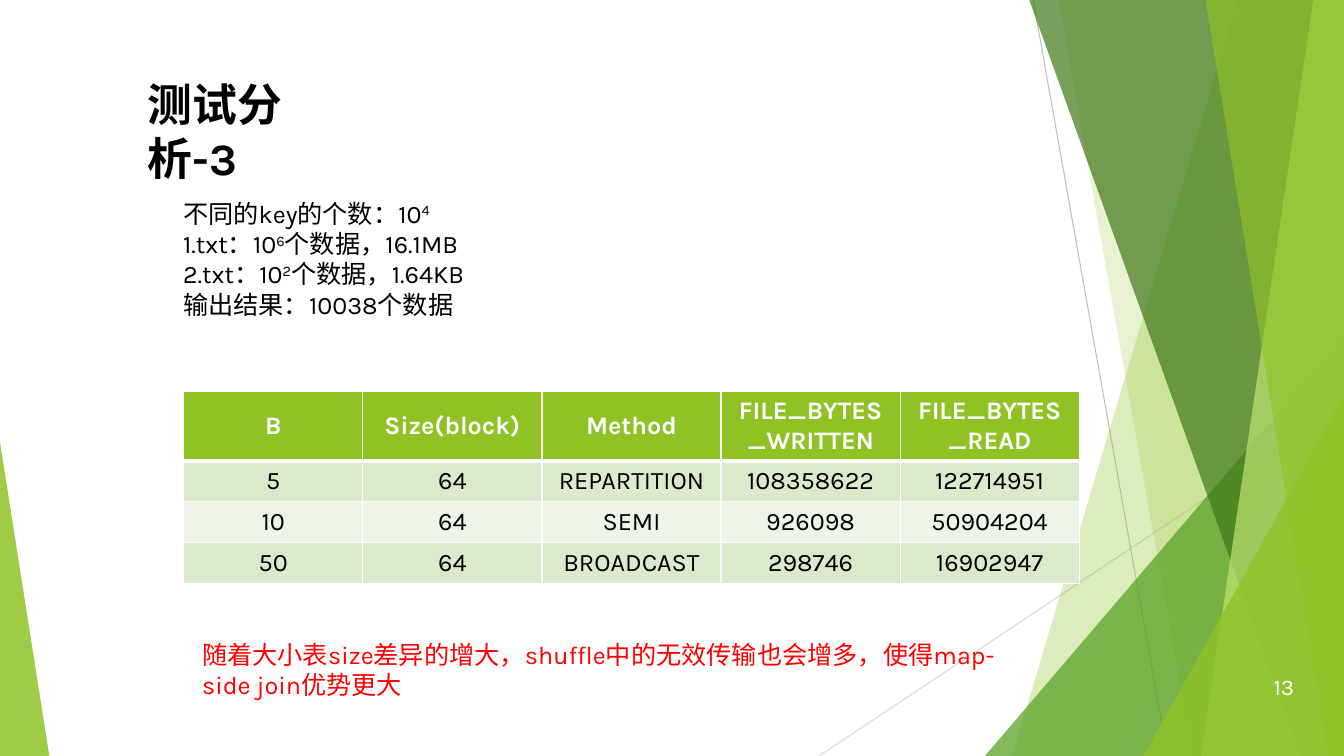
from dataclasses import dataclass

from lxml.etree import SubElement
from pptx import Presentation
from pptx.dml.color import RGBColor
from pptx.enum.shapes import MSO_CONNECTOR, MSO_SHAPE
from pptx.enum.text import MSO_ANCHOR, PP_ALIGN
from pptx.oxml.ns import qn
from pptx.util import Emu, Pt

EMU_PER_PX = 9525
SLIDE_WIDTH, SLIDE_HEIGHT = 1280, 720


@dataclass(frozen=True)
class Theme:
    font: str = "Karla"
    title_size: int = 32
    body_size: int = 18
    number_size: int = 16
    black: str = "000000"
    white: str = "FFFFFF"
    red: str = "FF0000"
    lime: str = "90C226"
    pale_lime: str = "C0E474"
    green: str = "54A021"
    dark_green: str = "3F7819"
    band_dark: str = "DBE9CD"
    band_light: str = "EEF4E8"
    line_dark: str = "BFBFBF"
    line_light: str = "D9D9D9"


THEME = Theme()


@dataclass(frozen=True)
class Ray:
    start: tuple[int, int]
    end: tuple[int, int]
    color: str


@dataclass(frozen=True)
class Band:
    """Area from a slanted left edge to the right side of the slide."""
    top_x: int
    bottom_x: int
    color: str
    opacity: int


@dataclass(frozen=True)
class Corner:
    """Right triangle standing on the bottom of the slide."""
    left: int
    top: int
    width: int
    apex: int
    color: str
    opacity: int


@dataclass(frozen=True)
class TextStyle:
    size: int
    color: str
    bold: bool = False
    align: PP_ALIGN = PP_ALIGN.LEFT


@dataclass(frozen=True)
class TextBlock:
    box: tuple[int, int, int, int]
    lines: tuple[str, ...]
    style: TextStyle
    anchor: MSO_ANCHOR = MSO_ANCHOR.TOP


RAYS = (
    Ray((984, 0), (1112, 720), THEME.line_dark),
    Ray((1280, 387), (780, 720), THEME.line_light),
)
FACETS = (
    Band(1179, 964, THEME.lime, 30),
    Band(1008, 1136, THEME.lime, 20),
    Corner(938, 320, 342, 1, THEME.green, 72),
    Band(980, 1239, THEME.dark_green, 70),
    Band(1251, 1144, THEME.pale_lime, 70),
    Band(1148, 1265, THEME.lime, 65),
    Corner(1089, 377, 191, 1, THEME.lime, 80),
    Corner(0, 421, 47, 0, THEME.lime, 85),
)

# Text between carets is raised
TITLE = TextBlock((131, 68, 232, 61), ("测试分析-3",),
                  TextStyle(THEME.title_size, THEME.black, bold=True))
TEXT_BLOCKS = (
    TextBlock((165, 184, 305, 126),
              ("不同的key的个数：10^4^", "1.txt：10^6^个数据，16.1MB",
               "2.txt：10^2^个数据，1.64KB", "输出结果：10038个数据"),
              TextStyle(THEME.body_size, THEME.black)),
    TextBlock((183, 604, 810, 68),
              ("随着大小表size差异的增大，shuffle中的无效传输也会增多，使得map-side join优势更大",),
              TextStyle(THEME.body_size, THEME.red)),
    TextBlock((1170, 635, 72, 38), ("13",),
              TextStyle(THEME.number_size, THEME.white, align=PP_ALIGN.RIGHT),
              MSO_ANCHOR.MIDDLE),
)

TABLE_LEFT, TABLE_TOP, TABLE_WIDTH = 175, 373, 853
HEADER_HEIGHT, ROW_HEIGHT = 66, 39
TABLE_ROWS = (
    ("B", "Size(block)", "Method", "FILE_BYTES_WRITTEN", "FILE_BYTES_READ"),
    ("5", "64", "REPARTITION", "108358622", "122714951"),
    ("10", "64", "SEMI", "926098", "50904204"),
    ("50", "64", "BROADCAST", "298746", "16902947"),
)


def px(*lengths: int) -> list[Emu]:
    return [Emu(length * EMU_PER_PX) for length in lengths]


def apply_format(target, values: dict) -> None:
    for name, value in values.items():
        setattr(target, name, value)


def fill_text(text_frame, lines: tuple[str, ...], style: TextStyle) -> None:
    for index, line in enumerate(lines):
        paragraph = text_frame.add_paragraph() if index else text_frame.paragraphs[0]
        paragraph.alignment = style.align
        for part, text in enumerate(line.split("^")):
            if not text:
                continue
            run = paragraph.add_run()
            run.text = text
            apply_format(run.font, {"name": THEME.font, "size": Pt(style.size), "bold": style.bold})
            run.font.color.rgb = RGBColor.from_string(style.color)
            if part % 2:
                run.font._element.set("baseline", "30000")


def place_text(shape, block: TextBlock) -> None:
    left, top, width, height = px(*block.box)
    apply_format(shape, {"left": left, "top": top, "width": width, "height": height})
    apply_format(shape.text_frame, {"word_wrap": True, "vertical_anchor": block.anchor})
    fill_text(shape.text_frame, block.lines, block.style)


def draw_ray(slide, ray: Ray) -> None:
    connector = slide.shapes.add_connector(MSO_CONNECTOR.STRAIGHT, *px(*ray.start, *ray.end))
    connector.line.color.rgb = RGBColor.from_string(ray.color)
    connector.line.width = Pt(0.75)
    SubElement(connector._element.spPr, qn("a:effectLst"))


def draw_facet(slide, facet: Band | Corner) -> None:
    if isinstance(facet, Band):
        builder = slide.shapes.build_freeform(facet.top_x, -1, scale=EMU_PER_PX)
        builder.add_line_segments([(SLIDE_WIDTH, -1), (SLIDE_WIDTH, SLIDE_HEIGHT),
                                   (facet.bottom_x, SLIDE_HEIGHT)])
        shape = builder.convert_to_shape()
    else:
        box = px(facet.left, facet.top, facet.width, SLIDE_HEIGHT - facet.top)
        shape = slide.shapes.add_shape(MSO_SHAPE.ISOSCELES_TRIANGLE, *box)
        shape.adjustments[0] = facet.apex
    shape.shadow.inherit = False
    shape.line.fill.background()
    shape.fill.solid()
    shape.fill.fore_color.rgb = RGBColor.from_string(facet.color)
    color = shape._element.spPr.find(qn("a:solidFill")).find(qn("a:srgbClr"))
    SubElement(color, qn("a:alpha")).set("val", str(facet.opacity * 1000))


def set_borders(cell, widths: dict[str, int]) -> None:
    properties = cell._tc.get_or_add_tcPr()
    for position, (side, width) in enumerate(widths.items()):
        border = SubElement(properties, qn(f"a:ln{side}"), w=str(Pt(width)))
        SubElement(SubElement(border, qn("a:solidFill")), qn("a:srgbClr"), val=THEME.white)
        properties.insert(position, border)


def draw_table(slide) -> None:
    row_count, column_count = len(TABLE_ROWS), len(TABLE_ROWS[0])
    height = HEADER_HEIGHT + ROW_HEIGHT * (row_count - 1)
    box = px(TABLE_LEFT, TABLE_TOP, TABLE_WIDTH, height)
    table = slide.shapes.add_table(row_count, column_count, *box).table
    for row, texts in enumerate(TABLE_ROWS):
        header = row == 0
        table.rows[row].height = px(ROW_HEIGHT if row else HEADER_HEIGHT)[0]
        fill = THEME.lime if header else THEME.band_dark if row % 2 else THEME.band_light
        style = TextStyle(THEME.body_size, THEME.white if header else THEME.black,
                          header, PP_ALIGN.CENTER)
        for column, text in enumerate(texts):
            cell = table.cell(row, column)
            cell.vertical_anchor = MSO_ANCHOR.MIDDLE
            cell.fill.solid()
            cell.fill.fore_color.rgb = RGBColor.from_string(fill)
            fill_text(cell.text_frame, (text,), style)
            set_borders(cell, {"L": 1, "R": 1, "T": 3 if row == 1 else 1, "B": 3 if header else 1})


def main() -> None:
    presentation = Presentation()
    presentation.slide_width, presentation.slide_height = px(SLIDE_WIDTH, SLIDE_HEIGHT)
    slide = presentation.slides.add_slide(presentation.slide_layouts[5])

    # Background decoration
    for ray in RAYS:
        draw_ray(slide, ray)
    for facet in FACETS:
        draw_facet(slide, facet)

    # Title, table and texts
    place_text(slide.shapes.title, TITLE)
    draw_table(slide)
    for block in TEXT_BLOCKS:
        place_text(slide.shapes.add_textbox(*px(*block.box)), block)

    presentation.save("out.pptx")


if __name__ == "__main__":
    main()
